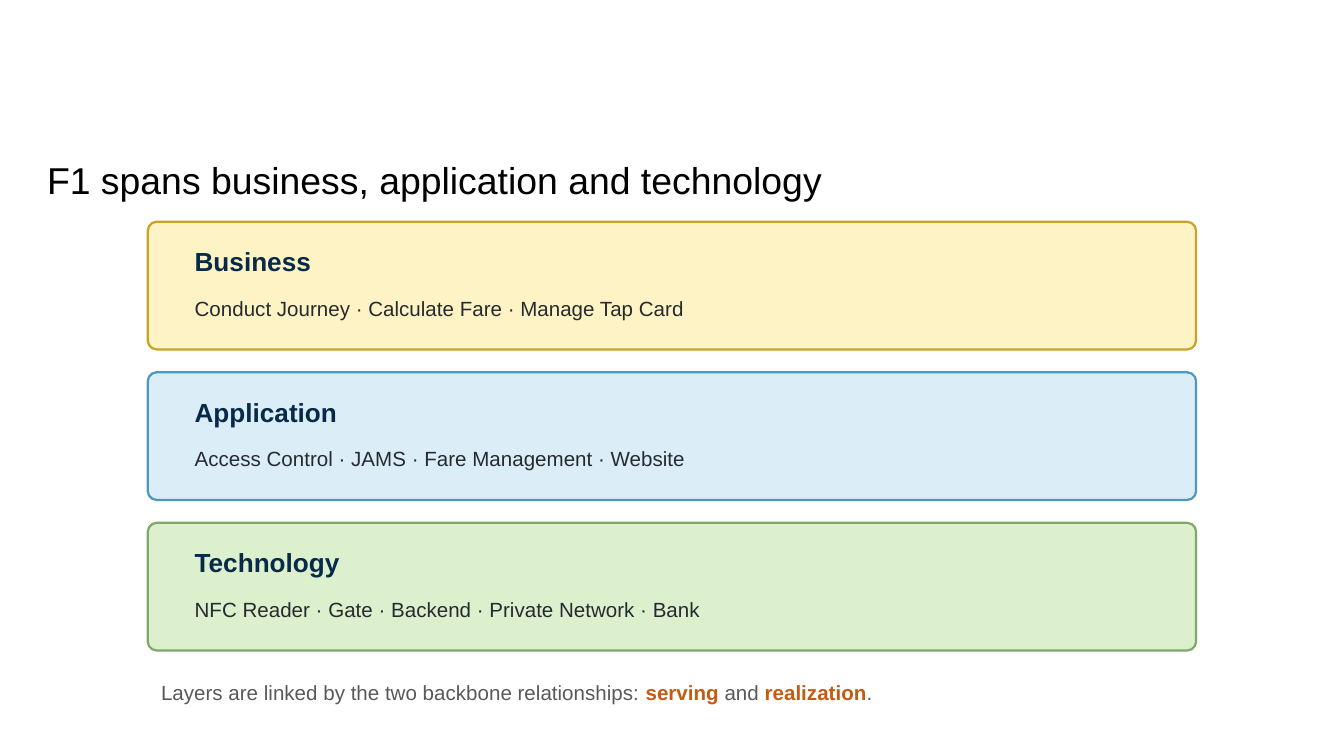
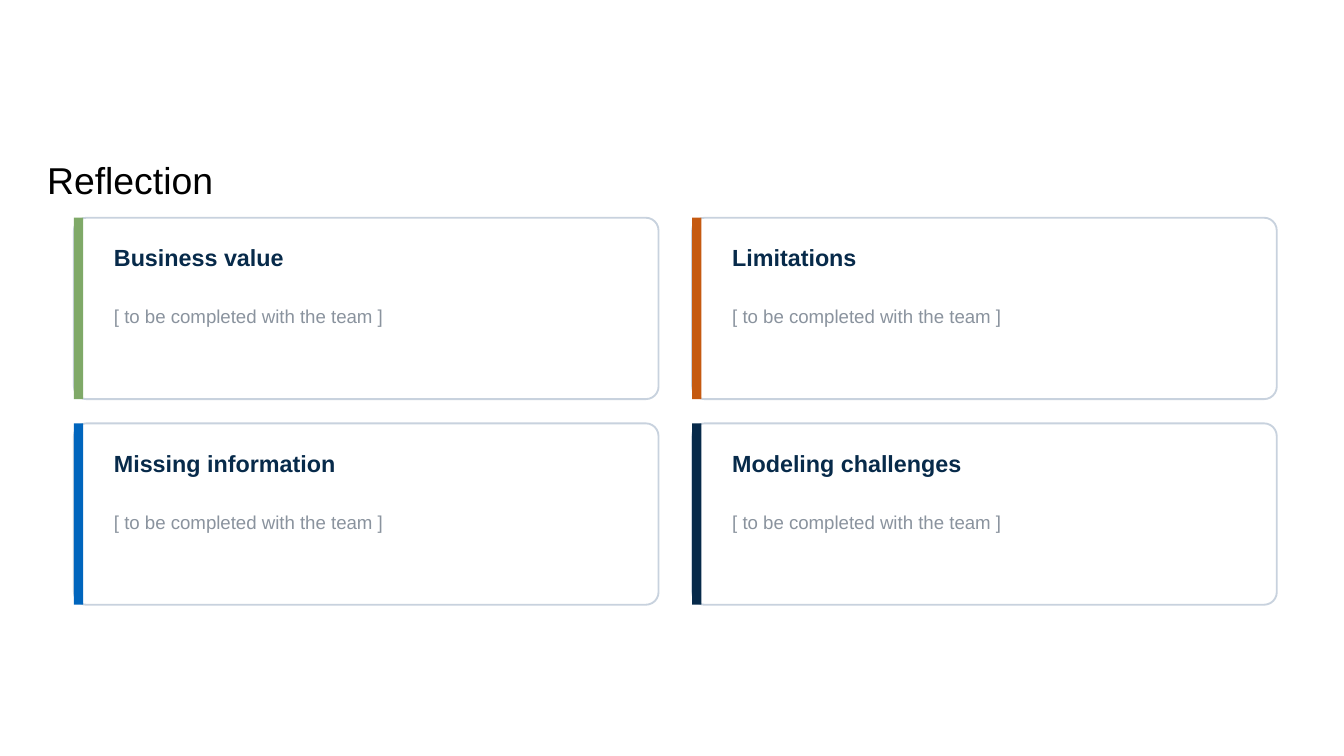
from pptx import Presentation
from pptx import util as u
from pptx.dml.color import RGBColor
from pptx.enum import shapes, text

PX = u.Inches(1) // 200
FONT = "Arial"
NAVY, INK, GREY, MUTED = "072A4A", "262A30", "595959", "8A939E"
ORANGE, GREEN, BLUE, WHITE, BORDER = "C55A11", "7FA968", "0065BD", "FFFFFF", "C8D2DE"

LAYERS_TITLE = "F1 spans business, application and technology"
LAYERS = [
    ("Business", "Conduct Journey · Calculate Fare · Manage Tap Card", "FDF3C4", "C9A227"),
    ("Application", "Access Control · JAMS · Fare Management · Website", "DBEEF8", "4E97BE"),
    ("Technology", "NFC Reader · Gate · Backend · Private Network · Bank", "DCF0CD", GREEN),
]
LAYERS_NOTE = [
    ("Layers are linked by the two backbone relationships: ", GREY, False),
    ("serving", ORANGE, True),
    (" and ", GREY, False),
    ("realization", ORANGE, True),
    (".", GREY, False),
]

REFLECTION_TITLE = "Reflection"
REFLECTION_PLACEHOLDER = "[ to be completed with the team ]"
REFLECTION_CARDS = [
    ("Business value", GREEN),
    ("Limitations", ORANGE),
    ("Missing information", BLUE),
    ("Modeling challenges", NAVY),
]


def rgb(value):
    return RGBColor.from_string(value)


def add_text(slide, content, left, top, width, height, size, color=INK, bold=False,
             margin=None, line_spacing=None, space_after=3):
    """Add a one-paragraph text box; content is a string or (text, color, bold) runs."""
    box = slide.shapes.add_textbox(left * PX, top * PX, width * PX, height * PX)
    frame = box.text_frame
    frame.word_wrap = True
    frame.auto_size = text.MSO_AUTO_SIZE.SHAPE_TO_FIT_TEXT
    if margin is not None:
        frame.margin_left = frame.margin_right = margin * PX
        frame.margin_top = frame.margin_bottom = margin * PX
    paragraph = frame.paragraphs[0]
    paragraph.space_after = u.Pt(space_after)
    if line_spacing:
        paragraph.line_spacing = u.Pt(line_spacing)
    runs = [(content, color, bold)] if isinstance(content, str) else content
    for words, run_color, run_bold in runs:
        run = paragraph.add_run()
        run.text = words
        run.font.name = FONT
        run.font.size = u.Pt(size)
        run.font.bold = run_bold
        run.font.color.rgb = rgb(run_color)


def add_box(slide, left, top, width, height, fill, line=None, line_width=1):
    """Add a rounded box with an outline, or a plain bar when no line is given."""
    kind = shapes.MSO_SHAPE.ROUNDED_RECTANGLE if line else shapes.MSO_SHAPE.RECTANGLE
    shape = slide.shapes.add_shape(kind, left * PX, top * PX, width * PX, height * PX)
    shape.shadow.inherit = False
    shape.fill.solid()
    shape.fill.fore_color.rgb = rgb(fill)
    if line:
        shape.adjustments[0] = 0.07
        shape.line.color.rgb = rgb(line)
        shape.line.width = u.Pt(line_width)
    else:
        shape.line.fill.background()


def add_titled_slide(presentation, title):
    slide = presentation.slides.add_slide(presentation.slide_layouts[6])
    slide.background.fill.solid()
    slide.background.fill.fore_color.rgb = rgb(WHITE)
    add_text(slide, title, 70, 212, 1862, 90, size=20, color="000000",
             margin=0, line_spacing=32, space_after=0)
    return slide


def build_layers(presentation):
    slide = add_titled_slide(presentation, LAYERS_TITLE)
    left, first_top, width, height, pitch = 220, 330, 1560, 190, 224
    for index, (name, elements, fill, line) in enumerate(LAYERS):
        top = first_top + index * pitch
        add_box(slide, left, top, width, height, fill, line, line_width=1.2)
        add_text(slide, name, left + 50, top + 26, width - 100, 80,
                 size=14, color=NAVY, bold=True)
        add_text(slide, elements, left + 50, top + 100, width - 100, 80, size=11)
    add_text(slide, LAYERS_NOTE, left, first_top + len(LAYERS) * pitch, width, 80, size=11)


def build_reflection(presentation):
    slide = add_titled_slide(presentation, REFLECTION_TITLE)
    width, height, gap_x, gap_y = 870, 270, 50, 36
    for index, (heading, accent) in enumerate(REFLECTION_CARDS):
        row, column = divmod(index, 2)
        left = 110 + column * (width + gap_x)
        top = 324 + row * (height + gap_y)
        add_box(slide, left, top, width, height, WHITE, BORDER)
        add_box(slide, left, top, 14, height, accent)
        add_text(slide, heading, left + 40, top + 28, width - 70, 80,
                 size=12.5, color=NAVY, bold=True)
        add_text(slide, REFLECTION_PLACEHOLDER, left + 40, top + 120, width - 70, 120,
                 size=10, color=MUTED)


def main():
    presentation = Presentation()
    presentation.slide_width = 2000 * PX
    presentation.slide_height = 1125 * PX
    build_layers(presentation)
    build_reflection(presentation)
    presentation.save("out.pptx")


if __name__ == "__main__":
    main()
